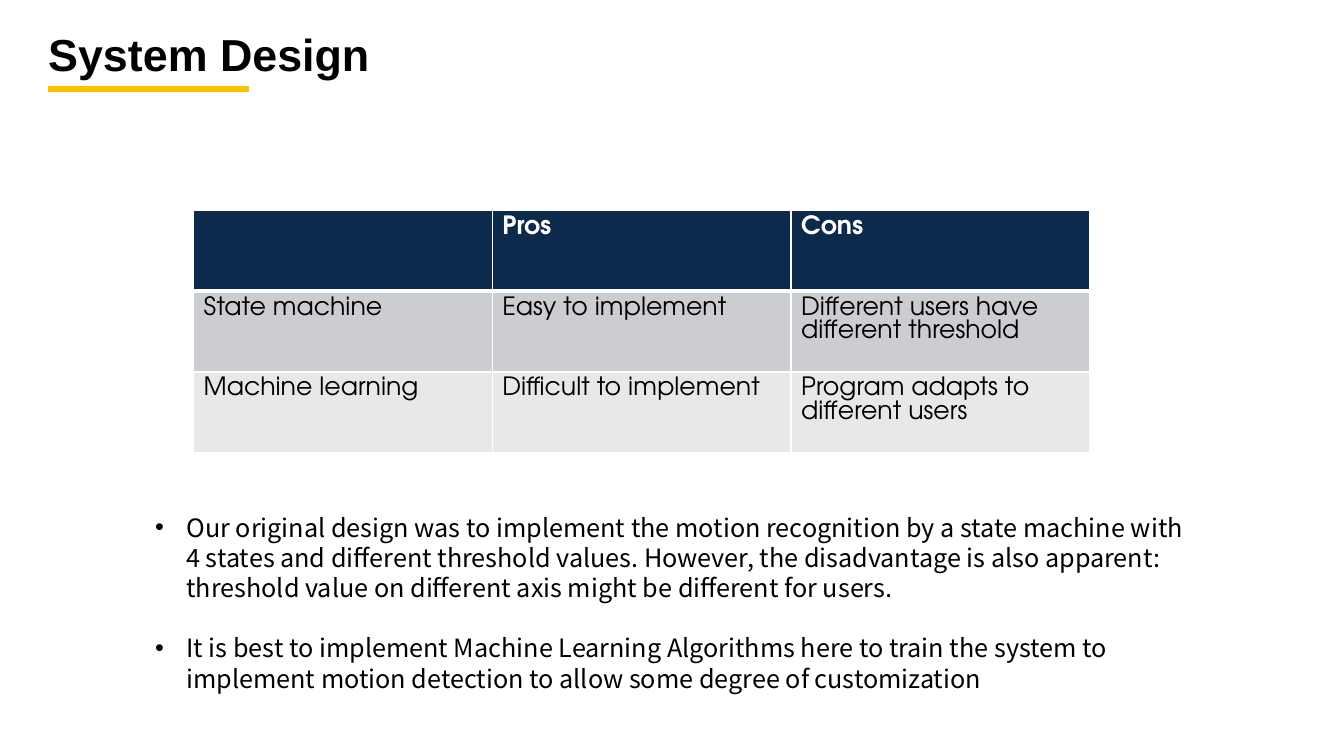
import dataclasses

import lxml.etree
import pptx
import pptx.dml.color
import pptx.enum.shapes
import pptx.enum.text
import pptx.oxml.ns
import pptx.util

Inches = pptx.util.Inches
Pt = pptx.util.Pt
qn = pptx.oxml.ns.qn


@dataclasses.dataclass(frozen=True)
class Theme:
    white: str = "FFFFFF"
    black: str = "000000"
    gold: str = "FFC000"
    navy: str = "0D294B"
    bands: tuple[str, ...] = ("CCCDD0", "E7E8E9")
    head_font: str = "Arial"
    grid_font: str = "TeX Gyre Adventor"
    body_font: str = "Noto Sans CJK SC"
    head_size: float = 32
    text_size: float = 18


@dataclasses.dataclass(frozen=True)
class Box:
    left: float
    top: float
    width: float
    height: float

    def lengths(self) -> tuple[int, ...]:
        return tuple(Inches(n) for n in dataclasses.astuple(self))


THEME = Theme()
TITLE = Box(0.38, 0.27, 5.39, 0.6)
GRID = Box(1.92, 2.09, 8.89, 2.4)
NOTES = Box(1.44, 5.03, 10.41, 2.22)
INDENT = Inches(0.31)
ROWS = (
    ("", "Pros", "Cons"),
    ("State machine", "Easy to implement", "Different users have different threshold"),
    ("Machine learning", "Difficult to implement", "Program adapts to different users"),
)
POINTS = (
    "Our original design was to implement the motion recognition by a state machine "
    "with 4 states and different threshold values. However, the disadvantage is also "
    "apparent: threshold value on different axis might be different for users.",
    "It is best to implement Machine Learning Algorithms here to train the system to "
    "implement motion detection to allow some degree of customization",
)


def color(code: str) -> pptx.dml.color.RGBColor:
    return pptx.dml.color.RGBColor.from_string(code)


def style(para, font: str, size: float, code: str, bold: bool = False) -> None:
    para.font.name = font
    para.font.size = Pt(size)
    para.font.color.rgb = color(code)
    para.font.bold = bold


def add_title(slide) -> None:
    frame = slide.shapes.add_textbox(*TITLE.lengths()).text_frame
    frame.word_wrap = True
    frame.vertical_anchor = pptx.enum.text.MSO_ANCHOR.MIDDLE
    para = frame.paragraphs[0]
    para.text = "System Design"
    para.line_spacing = 0.9
    style(para, THEME.head_font, THEME.head_size, THEME.black, True)


def add_rule(slide) -> None:
    rule = slide.shapes.add_connector(
        pptx.enum.shapes.MSO_CONNECTOR.STRAIGHT,
        Inches(0.48), Inches(0.88), Inches(2.47), Inches(0.88),
    )
    rule.line.color.rgb = color(THEME.gold)
    rule.line.width = Pt(4.5)
    lxml.etree.SubElement(rule._element.spPr, qn("a:effectLst"))


def add_edge(cell, side: str, width: float) -> None:
    """Draw one white cell border; side is L, R, T or B."""
    props = cell._tc.get_or_add_tcPr()
    edge = lxml.etree.SubElement(props, qn(f"a:ln{side}"), w=str(Pt(width)))
    fill = lxml.etree.SubElement(edge, qn("a:solidFill"))
    lxml.etree.SubElement(fill, qn("a:srgbClr"), val=THEME.white)


def add_grid(slide) -> None:
    table = slide.shapes.add_table(len(ROWS), len(ROWS[0]), *GRID.lengths()).table
    for i, texts in enumerate(ROWS):
        head = i == 0
        for j, text in enumerate(texts):
            cell = table.cell(i, j)
            for side in "LRTB":
                thick = (i, side) in ((0, "B"), (1, "T"))
                add_edge(cell, side, 3 if thick else 1)
            cell.fill.solid()
            cell.fill.fore_color.rgb = color(THEME.navy if head else THEME.bands[i - 1])
            para = cell.text_frame.paragraphs[0]
            para.text = text
            ink = THEME.white if head else THEME.black
            style(para, THEME.grid_font, THEME.text_size, ink, head)


def add_bullet(para) -> None:
    props = para._p.get_or_add_pPr()
    props.set("marL", str(INDENT))
    props.set("indent", str(-INDENT))
    font = lxml.etree.Element(qn("a:buFont"), typeface=THEME.head_font)
    mark = lxml.etree.Element(qn("a:buChar"), char="•")
    place = props.index(props.find(qn("a:defRPr")))
    props[place:place] = [font, mark]


def add_notes(slide) -> None:
    frame = slide.shapes.add_textbox(*NOTES.lengths()).text_frame
    frame.word_wrap = True
    for i, text in enumerate(POINTS):
        para = frame.add_paragraph() if i else frame.paragraphs[0]
        para.text = text
        para.space_before = Pt(21.5 if i else 0)
        style(para, THEME.body_font, THEME.text_size, THEME.black)
        add_bullet(para)


def main() -> None:
    deck = pptx.Presentation()
    deck.slide_width = Inches(13.33)
    deck.slide_height = Inches(7.5)
    slide = deck.slides.add_slide(deck.slide_layouts[6])
    add_rule(slide)
    add_title(slide)
    add_grid(slide)
    add_notes(slide)
    deck.save("out.pptx")


if __name__ == "__main__":
    main()
